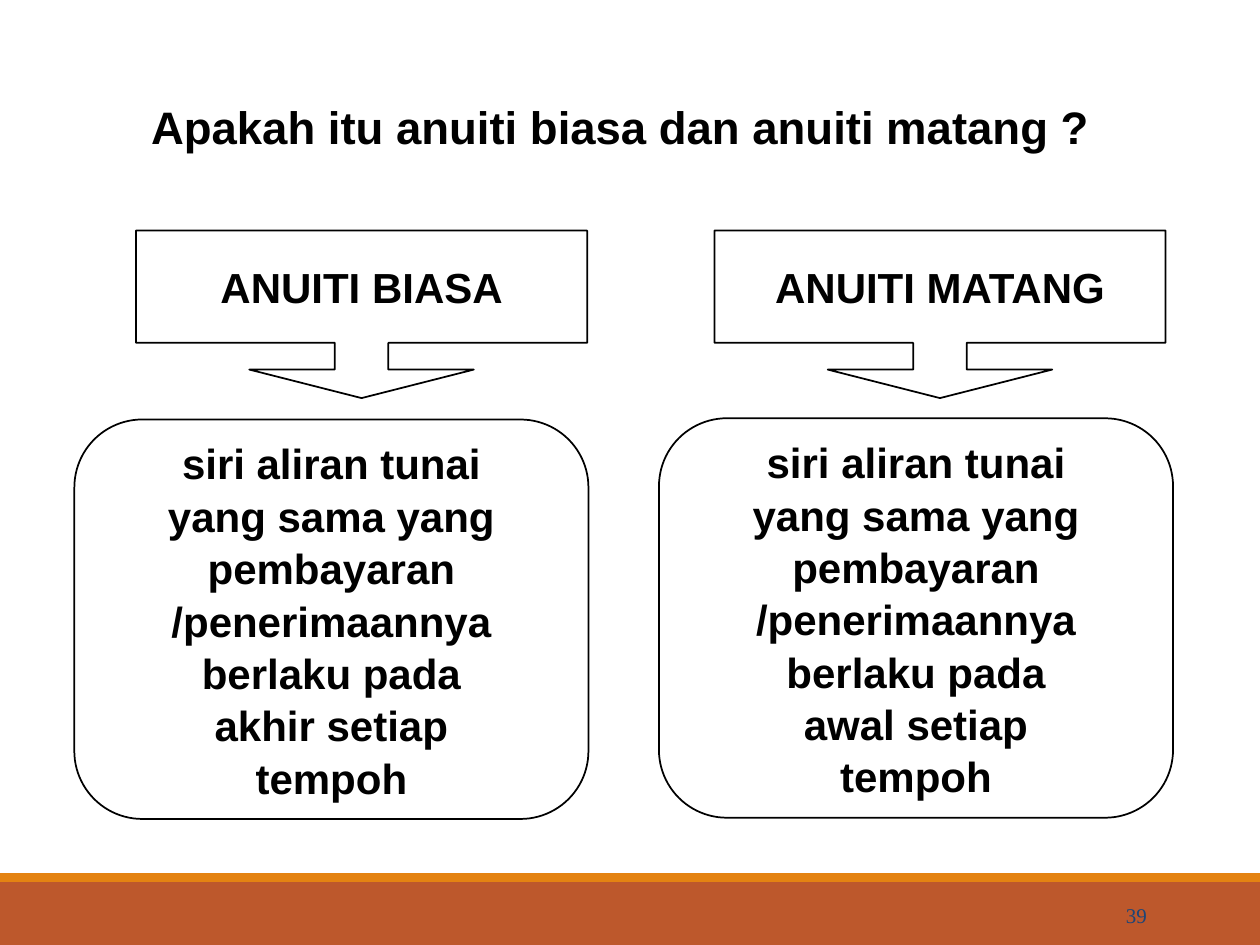
from pptx import Presentation
from pptx.dml.color import RGBColor
from pptx.enum.shapes import MSO_SHAPE as Shape
from pptx.enum.text import MSO_ANCHOR as Anchor, PP_ALIGN as Align
from pptx.util import Inches, Pt

BLACK = RGBColor(0x00, 0x00, 0x00)
WHITE = RGBColor(0xFF, 0xFF, 0xFF)
RUST = RGBColor(0xBD, 0x58, 0x2C)
ORANGE = RGBColor(0xE4, 0x83, 0x12)
NAVY = RGBColor(0x1D, 0x45, 0x77)

QUESTION = "Apakah itu anuiti biasa dan anuiti matang ?"
PAGE_NUMBER = "39"
DEFINITION = [
    "siri aliran tunai", "yang sama yang", "pembayaran", "/penerimaannya",
    "berlaku pada", "{timing} setiap", "tempoh",
]
ANNUITIES = [
    {"name": "ANUITI BIASA", "timing": "akhir", "callout": (1.08, 1.83), "card": (0.59, 3.33)},
    {"name": "ANUITI MATANG", "timing": "awal", "callout": (5.67, 1.83), "card": (5.23, 3.32)},
]
CALLOUT_SIZE = (3.58, 1.33)
CARD_SIZE = (4.08, 3.17)
BANDS = [(7, 0.5, RUST), (6.93, 0.07, ORANGE)]


def draw_shape(slide, preset, box, fill, line=None, adjustments=()):
    shape = slide.shapes.add_shape(preset, *map(Inches, box))
    shape.shadow.inherit = False
    shape.fill.solid()
    shape.fill.fore_color.rgb = fill
    if line is None:
        shape.line.fill.background()
    else:
        shape.line.color.rgb = line
        shape.line.width = Pt(1)
    for index, value in enumerate(adjustments):
        shape.adjustments[index] = value
    return shape


def write(shape, lines, size, align=Align.CENTER, anchor=Anchor.MIDDLE,
          font="Arial", color=BLACK, bold=True, spacing=None):
    frame = shape.text_frame
    frame.word_wrap = True
    frame.vertical_anchor = anchor
    frame.text = "\n".join(lines)
    for paragraph in frame.paragraphs:
        paragraph.alignment = align
        paragraph.line_spacing = spacing
        for run in paragraph.runs:
            run.font.name = font
            run.font.size = Pt(size)
            run.font.bold = bold
            run.font.color.rgb = color


def main():
    deck = Presentation()
    deck.slide_width, deck.slide_height = Inches(10), Inches(7.5)
    slide = deck.slides.add_slide(deck.slide_layouts[6])

    for top, height, color in BANDS:
        draw_shape(slide, Shape.RECTANGLE, (0, top, 10, height), color)

    title = draw_shape(slide, Shape.RECTANGLE, (1.1, 0.74, 8.25, 0.54), WHITE)
    write(title, [QUESTION], 26, Align.LEFT, Anchor.TOP)

    number = slide.shapes.add_textbox(*map(Inches, (8.12, 7.06, 1.08, 0.4)))
    write(number, [PAGE_NUMBER], 12, Align.RIGHT,
          font="Times New Roman", color=NAVY, bold=False)

    for annuity in ANNUITIES:
        callout = draw_shape(slide, Shape.DOWN_ARROW_CALLOUT, annuity["callout"] + CALLOUT_SIZE,
                             WHITE, BLACK, (0.32, 0.67, 0.17, 0.67))
        write(callout, [annuity["name"]], 24)
        card = draw_shape(slide, Shape.ROUNDED_RECTANGLE, annuity["card"] + CARD_SIZE,
                          WHITE, BLACK, (0.17,))
        definition = [line.format(timing=annuity["timing"]) for line in DEFINITION]
        write(card, definition, 24, spacing=1.04)

    deck.save("out.pptx")


if __name__ == "__main__":
    main()
